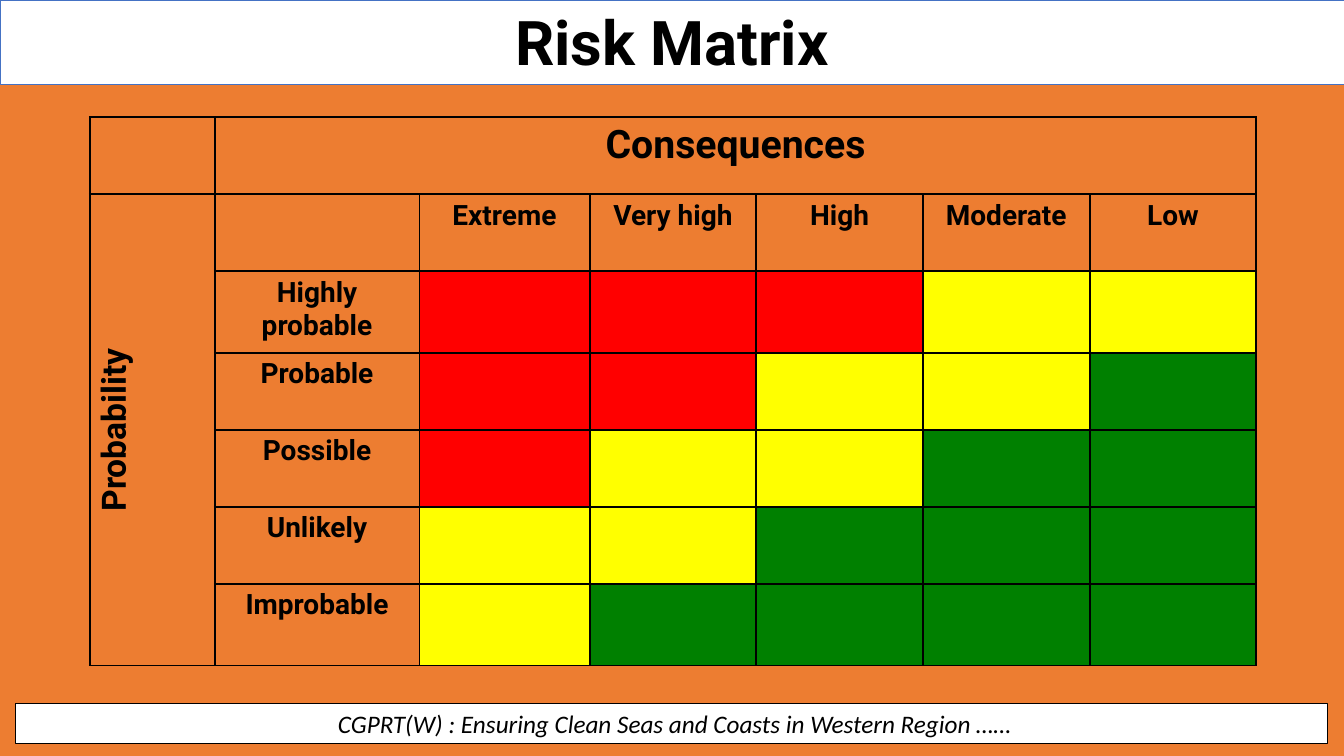
from lxml.etree import SubElement
from pptx import Presentation
from pptx.dml.color import RGBColor as Rgb
from pptx.enum.shapes import MSO_SHAPE as Shape
from pptx.enum.text import MSO_ANCHOR as Anchor, MSO_AUTO_SIZE as Fit, PP_ALIGN as Align
from pptx.oxml.ns import qn
from pptx.util import Cm, Pt

HUES = {
    "back": "ED7D31", "ink": "000000", "paper": "FFFFFF", "edge": "4472C4",
    "R": "FF0000", "Y": "FFFF00", "G": "008000",
}
HEADS = ["Extreme", "Very high", "High", "Moderate", "Low"]
ODDS = ["Highly probable", "Probable", "Possible", "Unlikely", "Improbable"]
SCALE = "RRRYYGGGG"
COLS = [3.15, 5.16, 4.29] + [4.2] * 4
ROWS = [1.94, 1.94, 2.06, 1.94, 1.94, 1.94, 2.06]


def hue(name):
    return Rgb.from_string(HUES[name])


def add_run(para, text, size, face="Roboto", bold=False, slant=False):
    para.alignment = Align.CENTER
    run = para.add_run()
    run.text = text
    font = run.font
    font.name, font.size = face, Pt(size)
    font.bold, font.italic = bold, slant
    font.color.rgb = hue("ink")


def add_bar(slide, box, edge, width):
    bar = slide.shapes.add_shape(Shape.RECTANGLE, *map(Cm, box))
    bar.shadow.inherit = False
    bar.fill.solid()
    bar.fill.fore_color.rgb = hue("paper")
    bar.line.color.rgb = hue(edge)
    bar.line.width = Pt(width)
    return bar


def add_foot(slide, box):
    frame = add_bar(slide, box, "ink", 0.75).text_frame
    frame.word_wrap = True
    frame.vertical_anchor = Anchor.MIDDLE
    para = frame.paragraphs[0]
    add_run(para, " ", 18, "Lato")
    add_run(para, "CGPRT(W) : Ensuring Clean Seas and Coasts in Western Region ……",
            18, "Calibri", slant=True)


def add_head(slide, box):
    left, top, width, height = box
    add_bar(slide, box, "edge", 0.5)
    title = slide.shapes.title
    title.left, title.top = Cm(left + 5.51), Cm(top + 0.18)
    title.width, title.height = Cm(width - 11.01), Cm(height - 0.58)
    slide.shapes.element.append(title.element)
    frame = title.text_frame
    frame.auto_size = Fit.NONE
    frame.vertical_anchor = Anchor.TOP
    para = frame.paragraphs[0]
    para.line_spacing = 0.9
    add_run(para, "Risk Matrix", 44, bold=True)


def style(cell, fill=None):
    props = cell._tc.get_or_add_tcPr()
    for side in ("lnL", "lnR", "lnT", "lnB"):
        line = SubElement(props, qn(f"a:{side}"), w=str(Pt(1.5)))
        solid = SubElement(line, qn("a:solidFill"))
        SubElement(solid, qn("a:srgbClr"), val=HUES["ink"])
    if fill:
        cell.fill.solid()
        cell.fill.fore_color.rgb = hue(fill)
    else:
        cell.fill.background()


def label(cell, text, size=20):
    add_run(cell.text_frame.paragraphs[0], text, size, bold=True)


def add_grid(slide, box):
    grid = slide.shapes.add_table(len(ROWS), len(COLS), *map(Cm, box)).table
    grid.first_row = grid.horz_banding = False
    for col, width in zip(grid.columns, COLS):
        col.width = Cm(width)
    for row, height in zip(grid.rows, ROWS):
        row.height = Cm(height)
    for r in range(len(ROWS)):
        for c in range(len(COLS)):
            rated = r > 1 and c > 1
            style(grid.cell(r, c), SCALE[r + c - 4] if rated else None)
    grid.cell(0, 1).merge(grid.cell(0, 6))
    grid.cell(1, 0).merge(grid.cell(6, 0))
    label(grid.cell(0, 1), "Consequences", 28)
    side = grid.cell(1, 0)
    side._tc.get_or_add_tcPr().set("vert", "vert270")
    label(side, "Probability", 24)
    for c, text in enumerate(HEADS, 2):
        label(grid.cell(1, c), text)
    for r, text in enumerate(ODDS, 2):
        label(grid.cell(r, 1), text)


def main():
    deck = Presentation()
    deck.slide_width, deck.slide_height = Cm(33.87), Cm(19.05)
    slide = deck.slides.add_slide(deck.slide_layouts[5])
    slide.background.fill.solid()
    slide.background.fill.fore_color.rgb = hue("back")
    add_foot(slide, (0.4, 17.72, 33.05, 1.02))
    add_head(slide, (0, 0, 33.87, 2.13))
    add_grid(slide, (2.26, 2.95, sum(COLS), sum(ROWS)))
    deck.save("out.pptx")


if __name__ == "__main__":
    main()
